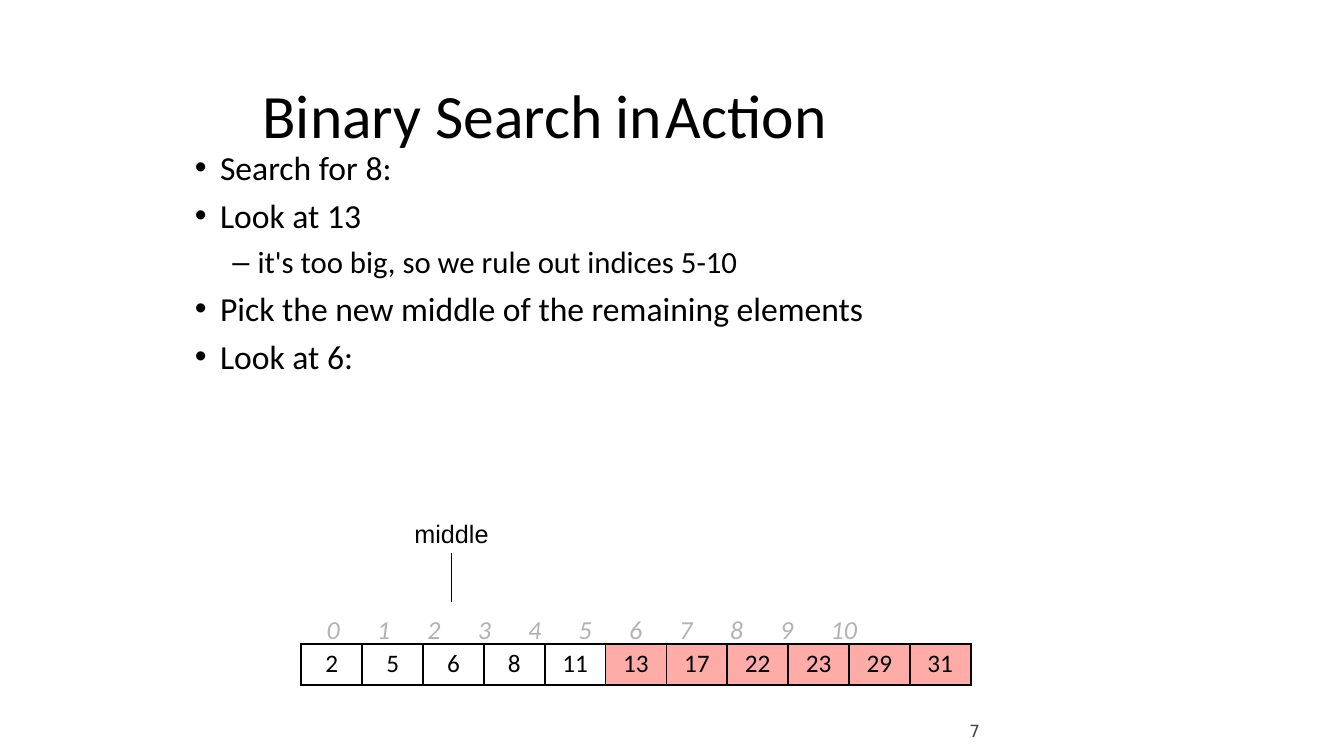
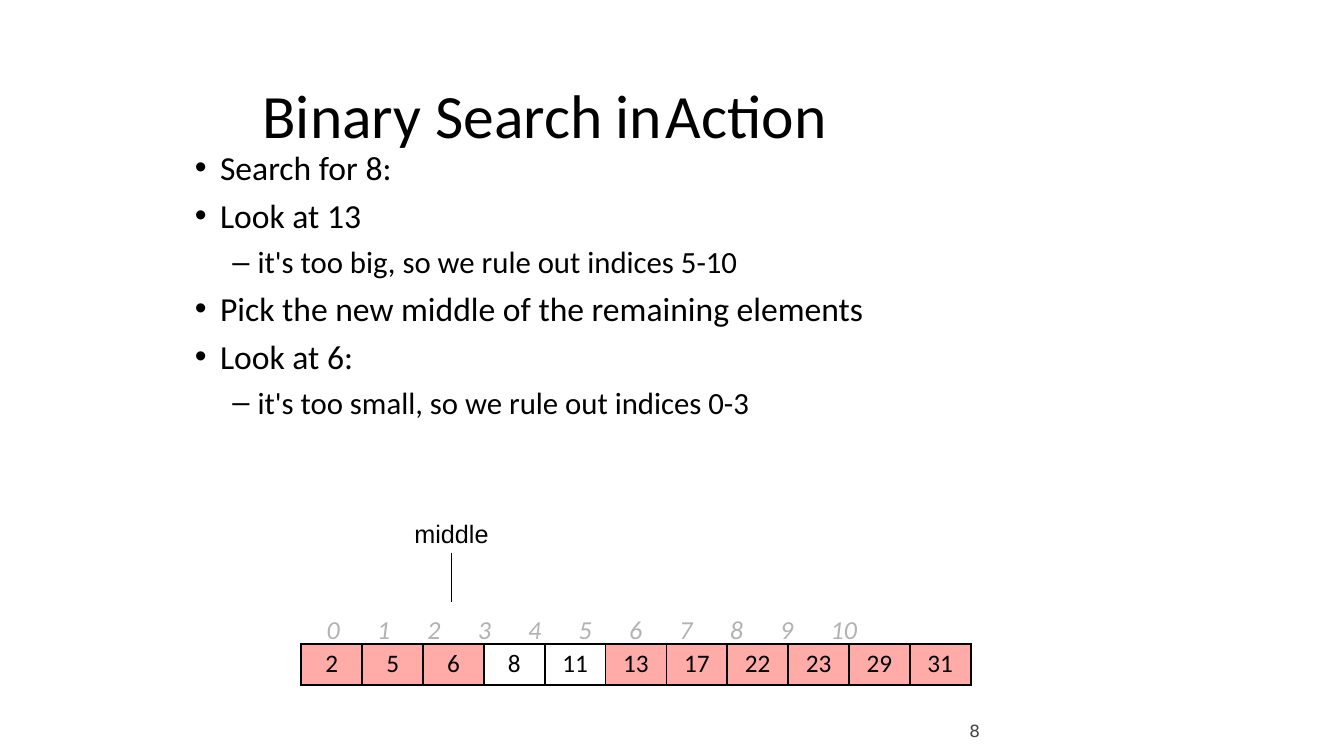
"""Build two slides that step through a binary search for 8."""
from lxml.etree import SubElement
from pptx import Presentation
from pptx.dml.color import RGBColor
from pptx.enum.shapes import MSO_CONNECTOR
from pptx.enum.text import MSO_ANCHOR, PP_ALIGN
from pptx.oxml.ns import qn
from pptx.util import Pt

BLACK, WHITE, PINK = "000000", "FFFFFF", "FFACA9"
INDEX_GREY, NUMBER_GREY = "B2B2B2", "424242"
TABLE_LEFT, TABLE_TOP, COL_W, ROW_H = 215.3, 460, 43.46, 29
VALUES = [2, 5, 6, 8, 11, 13, 17, 22, 23, 29, 31]
INDEX_TABS = [44.6 + 43.4 * i for i in range(len(VALUES) - 1)]

STEPS = [
    (0, "Search for 8:"),
    (0, "Look at 13"),
    (1, "it's too big, so we rule out indices 5-10"),
    (0, "Pick the new middle of the remaining elements"),
    (0, "Look at 6:"),
]
LEVELS = [
    dict(size=24, bullet="•", margin=19.2, hang=18),
    dict(size=22, bullet="–", margin=46, hang=18),
]
SLIDES = [
    (7, STEPS, VALUES[5:]),
    (8, STEPS + [(1, "it's too small, so we rule out indices 0-3")],
     VALUES[:3] + VALUES[5:]),
]


def add_text(p, text, size=18, font="Calibri", color=BLACK, italic=False,
             align=PP_ALIGN.LEFT, before=0, margin=0, hang=0, bullet=None, tabs=()):
    """Write one formatted run into a paragraph."""
    p.alignment, p.space_before = align, Pt(before)
    r = p.add_run()
    r.text = text
    r.font.size, r.font.name, r.font.italic = Pt(size), font, italic
    r.font.color.rgb = RGBColor.from_string(color)
    pPr = p._p.get_or_add_pPr()
    pPr.set("marL", str(Pt(margin)))
    pPr.set("indent", str(-Pt(hang)))
    if bullet:
        SubElement(pPr, qn("a:buFont"), typeface="Arial")
        SubElement(pPr, qn("a:buChar"), char=bullet)
    if tabs:
        tab_list = SubElement(pPr, qn("a:tabLst"))
        for pos in tabs:
            SubElement(tab_list, qn("a:tab"), pos=str(Pt(pos)), algn="l")


def add_box(s, left, top, width, height, anchor=MSO_ANCHOR.TOP):
    """Add a wrapping text box without insets."""
    sp = s.shapes.add_textbox(Pt(left), Pt(top), Pt(width), Pt(height))
    tf = sp.text_frame
    tf.word_wrap, tf.vertical_anchor = True, anchor
    tf.margin_left = tf.margin_top = tf.margin_right = tf.margin_bottom = 0
    return sp


prs = Presentation()
prs.slide_width, prs.slide_height = Pt(960), Pt(540)

for number, steps, ruled_out in SLIDES:
    s = prs.slides.add_slide(prs.slide_layouts[6])

    title = add_box(s, 186, 54, 756, 54, MSO_ANCHOR.MIDDLE)
    add_text(title.text_frame.paragraphs[0], "Binary Search\tin\tAction",
             size=44, margin=1.5, tabs=[320.4, 374.4])

    tf = add_box(s, 138, 105, 480, 200).text_frame
    for i, (level, text) in enumerate(steps):
        p = tf.add_paragraph() if i else tf.paragraphs[0]
        p.level = level
        add_text(p, text, before=5.5 if i else 0, **LEVELS[level])

    frame = s.shapes.add_table(1, len(VALUES), Pt(TABLE_LEFT), Pt(TABLE_TOP),
                               Pt(COL_W * len(VALUES)), Pt(ROW_H))
    table = frame.table
    table.first_row = table.horz_banding = False
    table.rows[0].height = Pt(ROW_H)
    for i, value in enumerate(VALUES):
        table.columns[i].width = Pt(COL_W)
        cell = table.cell(0, i)
        cell.margin_left = cell.margin_top = cell.margin_right = cell.margin_bottom = 0
        cell.vertical_anchor = MSO_ANCHOR.MIDDLE
        add_text(cell.text_frame.paragraphs[0], str(value), align=PP_ALIGN.CENTER)
        for side in ("a:lnL", "a:lnR", "a:lnT", "a:lnB"):
            ln = SubElement(cell._tc.get_or_add_tcPr(), qn(side), w=str(Pt(1.5)))
            SubElement(SubElement(ln, qn("a:solidFill")), qn("a:srgbClr"), val=BLACK)
        cell.fill.solid()
        cell.fill.fore_color.rgb = RGBColor.from_string(
            PINK if value in ruled_out else WHITE)

    indices = add_box(s, 232.6, 438, 461, 22)
    add_text(indices.text_frame.paragraphs[0],
             "\t".join(str(i) for i in range(len(VALUES))),
             size=18.5, color=INDEX_GREY, italic=True, margin=0.7, tabs=INDEX_TABS)

    label = add_box(s, 290.5, 370, 64, 25.3)
    add_text(label.text_frame.paragraphs[0], "middle", font="Arial",
             align=PP_ALIGN.CENTER)
    pointer = s.shapes.add_connector(MSO_CONNECTOR.STRAIGHT, Pt(322.5), Pt(395.3),
                                     Pt(322.5), Pt(430))
    pointer.begin_connect(label, 2)
    pointer.line.width = Pt(0.75)
    pointer.line.color.rgb = RGBColor.from_string(BLACK)
    SubElement(pointer._element.spPr, qn("a:effectLst"))

    page = add_box(s, 690.5, 514, 19.5, 16.5, MSO_ANCHOR.MIDDLE)
    add_text(page.text_frame.paragraphs[0], str(number), size=12,
             font="DejaVu Sans", color=NUMBER_GREY, margin=2)

prs.save("out.pptx")
